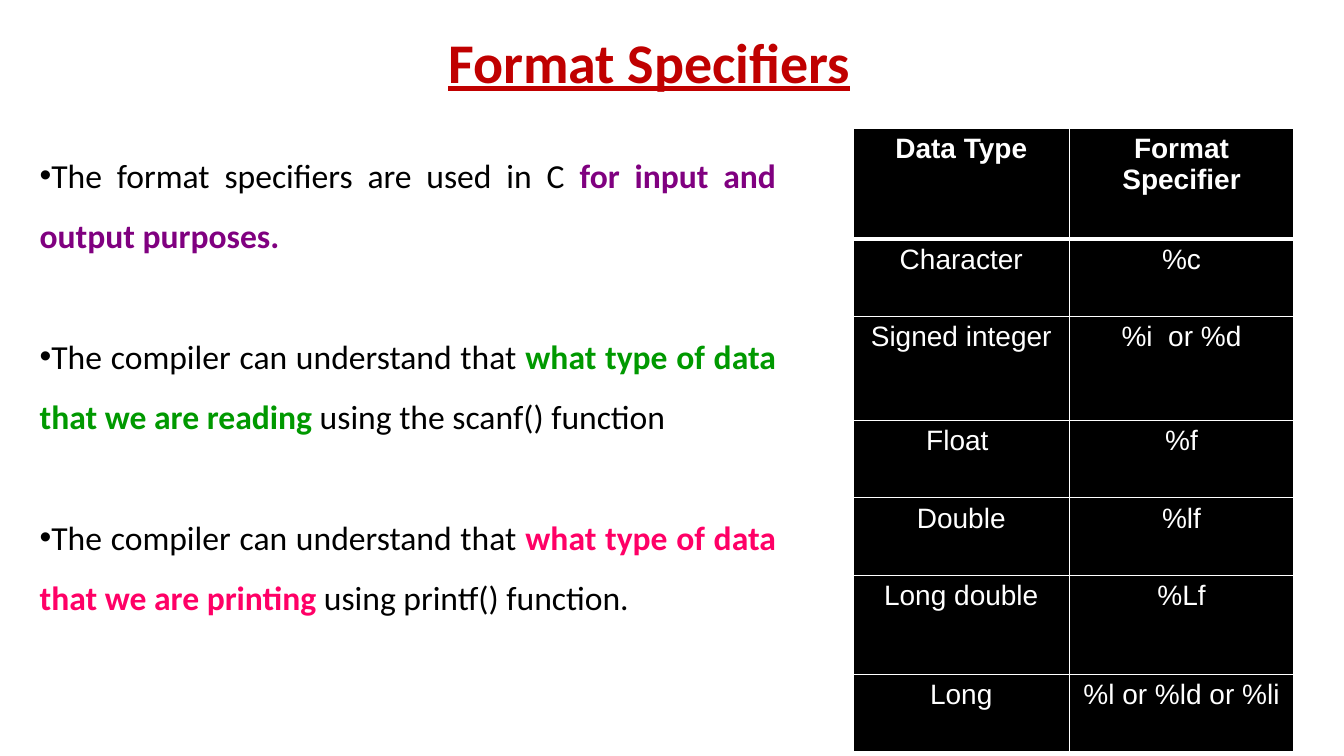
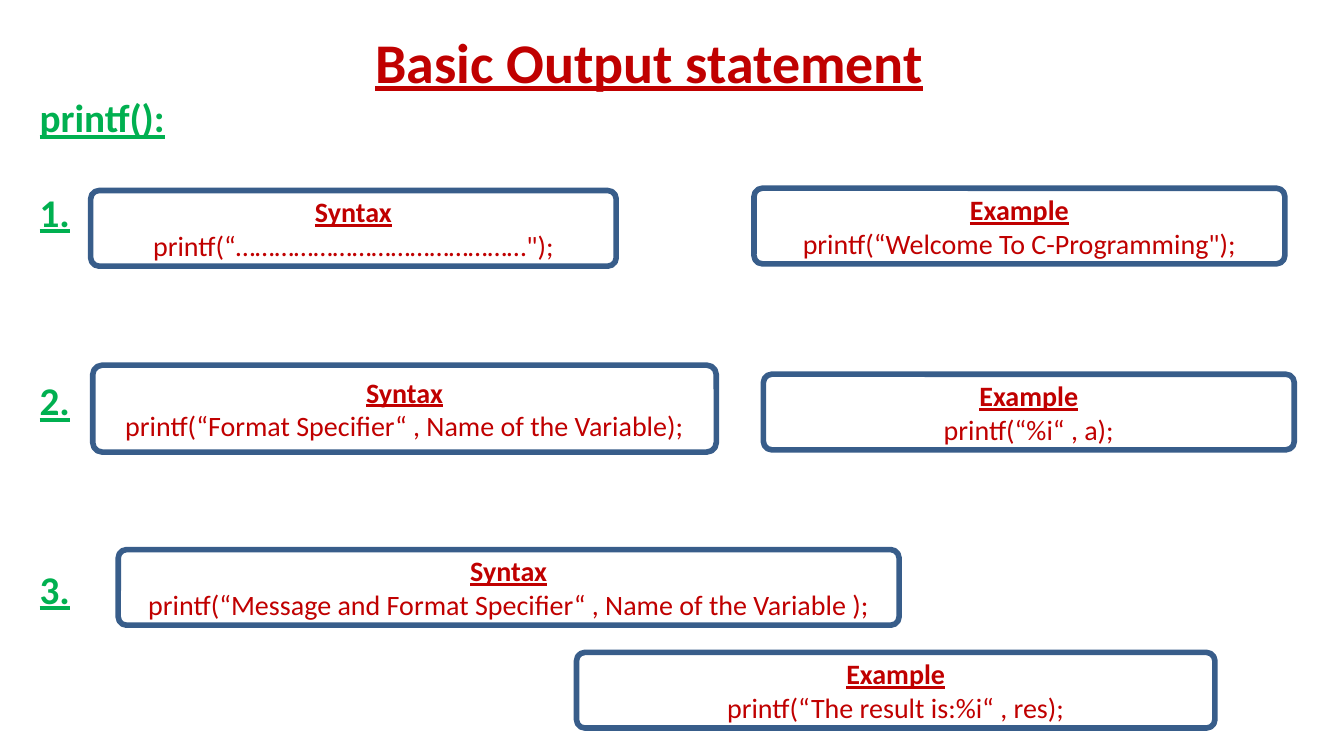
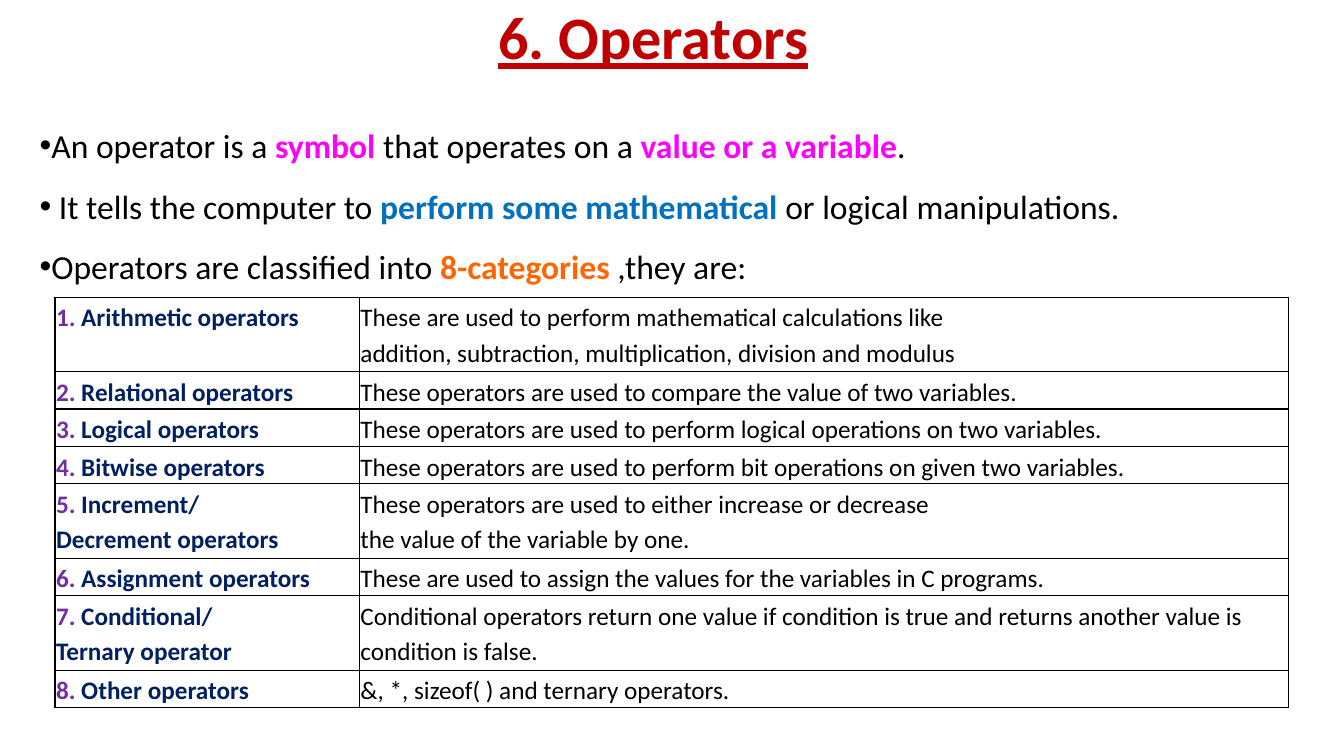
import pptx
import pptx.util
import pptx.dml.color
import pptx.enum.shapes
import pptx.enum.text
import pptx.oxml
import pptx.oxml.ns
from lxml import etree

Pt = pptx.util.Pt
ALIGN = pptx.enum.text.PP_ALIGN
ANCHOR = pptx.enum.text.MSO_ANCHOR

RED, BLACK, WHITE = "C00000", "000000", "FFFFFF"
GREEN, NAVY, PURPLE, STEEL = "00B050", "002060", "7030A0", "385D8A"


def rgb(value):
    return pptx.dml.color.RGBColor.from_string(value)


def add_text(p, text, size=24, color=BLACK, bold=False, underline=False, font="Calibri"):
    r = p.add_run()
    r.text = text
    f = r.font
    f.name, f.size, f.bold, f.underline = font, Pt(size), bold, underline
    f.color.rgb = rgb(color)


def add_element(parent, tag, **attrs):
    node = etree.SubElement(parent, pptx.oxml.ns.qn(tag))
    for key, value in attrs.items():
        node.set(key, str(value))
    return node


class Deck:
    def __init__(self):
        self.prs = pptx.Presentation()
        self.prs.slide_width = pptx.util.Inches(13.333)
        self.prs.slide_height = pptx.util.Inches(7.5)

    def x(self, percent):
        return int(self.prs.slide_width * percent / 100)

    def y(self, percent):
        return int(self.prs.slide_height * percent / 100)

    def box(self, left, top, width, height):
        return self.x(left), self.y(top), self.x(width), self.y(height)

    def frame(self, sp, anchor):
        tf = sp.text_frame
        tf.word_wrap = True
        tf.auto_size = pptx.enum.text.MSO_AUTO_SIZE.NONE
        tf.vertical_anchor = anchor
        return tf

    def place(self, sp, box):
        sp.left, sp.top, sp.width, sp.height = self.box(*box)

    def paragraphs(self, tf, items):
        for i, runs in enumerate(items):
            p = tf.add_paragraph() if i else tf.paragraphs[0]
            yield i, p, runs

    def slide(self, title, left=3.3, top=2.7, size=40, spacing=1.0):
        self.s = self.prs.slides.add_slide(self.prs.slide_layouts[1])
        sp = self.s.shapes.title
        self.place(sp, (left, top, 90, 10.7))
        p = self.frame(sp, ANCHOR.MIDDLE).paragraphs[0]
        p.alignment = ALIGN.CENTER
        p.line_spacing = spacing
        add_text(p, title, size=size, color=RED, bold=True, underline=True)

    def body(self, box, items, gaps, bullet=True):
        sp = self.s.placeholders[1]
        self.place(sp, box)
        for i, p, runs in self.paragraphs(self.frame(sp, ANCHOR.TOP), items):
            pPr = p._p.get_or_add_pPr()
            pPr.set("marL", "0")
            pPr.set("indent", str(-Pt(12) if bullet else 0))
            if bullet:
                add_element(add_element(pPr, "a:buClr"), "a:srgbClr", val=BLACK)
                add_element(pPr, "a:buFont", typeface="Arial")
                add_element(pPr, "a:buChar", char="•")
            else:
                add_element(pPr, "a:buNone")
            p.alignment = ALIGN.JUSTIFY if bullet else ALIGN.LEFT
            p.line_spacing = 1.5 if bullet else 1.0
            p.space_before = Pt(gaps[i])
            for text, style in runs:
                add_text(p, text, **style)

    def code_box(self, heading, code, left, top, width, height=10):
        shape = pptx.enum.shapes.MSO_SHAPE.ROUNDED_RECTANGLE
        sp = self.s.shapes.add_shape(shape, *self.box(left, top, width, height))
        sp.adjustments[0] = 0.11
        sp.shadow.inherit = False
        sp.fill.background()
        sp.line.color.rgb = rgb(STEEL)
        sp.line.width = Pt(4)
        tf = self.frame(sp, ANCHOR.MIDDLE)
        for i, p, text in self.paragraphs(tf, (heading, code)):
            p.alignment = ALIGN.CENTER
            add_text(p, text, size=20, color=RED, bold=i == 0, underline=i == 0)

    def table(self, left, top, cols, rows, cells, border, fill=None, margins=(0.1, 0.05),
              align=ALIGN.LEFT, spacing=1.0, header_line=1):
        box = self.box(left, top, sum(cols), sum(rows))
        tbl = self.s.shapes.add_table(len(rows), len(cols), *box).table
        tbl.first_row = tbl.horz_banding = False
        for col, width in zip(tbl.columns, cols):
            col.width = self.x(width)
        for i, height in enumerate(rows):
            tbl.rows[i].height = self.y(height)
            for j, content in enumerate(cells[i]):
                cell = tbl.cell(i, j)
                cell.margin_left = cell.margin_right = pptx.util.Inches(margins[0])
                cell.margin_top = cell.margin_bottom = pptx.util.Inches(margins[1])
                widths = {"L": 1, "R": 1, "T": header_line if i == 1 else 1,
                          "B": header_line if i == 0 else 1}
                self.borders(cell, border, widths)
                if fill:
                    cell.fill.solid()
                    cell.fill.fore_color.rgb = rgb(fill)
                else:
                    cell.fill.background()
                for _, p, runs in self.paragraphs(cell.text_frame, content):
                    p.alignment = align
                    p.line_spacing = spacing
                    for text, style in runs:
                        add_text(p, text, **style)

    def borders(self, cell, color, widths):
        tcPr = cell._tc.get_or_add_tcPr()
        for side, width in widths.items():
            ln = add_element(tcPr, "a:ln" + side, w=Pt(width))
            add_element(add_element(ln, "a:solidFill"), "a:srgbClr", val=color)


def plain(text):
    return text, {}


def strong(text, color):
    return text, {"color": color, "bold": True}


def format_specifiers(deck):
    deck.slide("Format Specifiers")
    deck.body((2.2, 17.1, 56.3, 70), [
        [plain("The format specifiers are used in C "),
         strong("for input and output purposes.", "800080")],
        [plain("The compiler can understand that "),
         strong("what type of data that we are reading", "009900"),
         plain(" using the scanf() function")],
        [plain("The compiler can understand that "),
         strong("what type of data that we are printing ", "FF0066"),
         plain("using printf() function.")],
    ], gaps=(0, 43, 43))
    specifiers = [
        ("Data Type", "Format Specifier", 14.67),
        ("Character", "%c", 10.27),
        ("Signed integer", "%i  or %d", 13.73),
        ("Float ", "%f", 10.27),
        ("Double", "%lf", 10.27),
        ("Long double", "%Lf", 13.07),
        ("Long", "%l or %ld or %li", 10.27),
    ]
    cells = [[[[(text, {"size": 20, "color": WHITE, "bold": i == 0, "font": "Arial"})]]
              for text in row[:2]] for i, row in enumerate(specifiers)]
    deck.table(63.5, 16.93, (16.05, 16.73), [row[2] for row in specifiers], cells,
               border=WHITE, fill=BLACK, align=ALIGN.CENTER, header_line=3)


def output_statement(deck):
    deck.slide("Basic Output statement")
    style = {"size": 28, "color": GREEN, "bold": True, "underline": True}
    deck.body((2.2, 11.7, 94.4, 75), [[(text, style)] for text in ("printf():", "1.", "2.", "3.")],
              gaps=(0, 34, 101, 101), bullet=False)
    for args in (
        ("Syntax", "printf(“………………………………………\");", 6.75, 25.2, 39.1),
        ("Example", "printf(“Welcome To C-Programming\");", 56.1, 24.9, 39.5),
        ("Syntax", "printf(“Format Specifier“ , Name of the Variable);", 6.9, 48.3, 46.4, 11.5),
        ("Example", "printf(“%i“ , a);", 56.8, 49.5, 39.5),
        ("Syntax", "printf(“Message and Format Specifier“ , Name of the Variable );",
         8.8, 72.7, 58.1),
        ("Example", "printf(“The result is:%i“ , res);", 42.9, 86.3, 47.5),
    ):
        deck.code_box(*args)


def operators(deck):
    deck.slide("6. Operators", left=3.6, top=0, size=43, spacing=0.9)
    deck.body((2.2, 13.2, 94.4, 26), [
        [plain("An operator is a"), strong(" symbol ", "FF00FF"),
         plain("that operates on a "), strong("value or a variable", "FF00FF"), plain(".")],
        [plain(" It tells the computer to "),
         strong("perform some mathematical ", "0070C0"), plain("or logical manipulations.")],
        [plain("Operators are classified into "), strong("8-categories", "FF6600"),
         plain(" ,they are:")],
    ], gaps=(0, 0, 0))
    kinds = [
        (["Arithmetic operators"],
         ["These are used to perform mathematical calculations like",
          "addition, subtraction, multiplication, division and modulus"], 2),
        (["Relational operators"],
         ["These operators are used to compare the value of two variables."], 1),
        (["Logical operators"],
         ["These operators are used to perform logical operations on two variables."], 1),
        (["Bitwise operators"],
         ["These operators are used to perform bit operations on given two variables."], 1),
        (["Increment/", "Decrement operators"],
         ["These operators are used to either increase or decrease",
          "the value of the variable by one."], 2),
        (["Assignment operators"],
         ["These are used to assign the values for the variables in C programs."], 1),
        (["Conditional/", "Ternary operator"],
         ["Conditional operators return one value if condition is true and returns "
          "another value is condition is false."], 2),
        (["Other operators"], ["&, *, sizeof( ) and ternary operators."], 1),
    ]
    name_style = {"size": 18, "color": NAVY, "bold": True}
    cells = []
    for number, (names, uses, _) in enumerate(kinds, 1):
        first = [(f"{number}.", {**name_style, "color": PURPLE}), (" " + names[0], name_style)]
        rest = [[(name, name_style)] for name in names[1:]]
        cells.append([[first] + rest, [[(use, {"size": 18})] for use in uses]])
    deck.table(4.1, 39.3, (22.65, 69.15), [4.93 * kind[2] for kind in kinds], cells,
               border=BLACK, margins=(0.01, 0.01), spacing=1.15)


def main():
    deck = Deck()
    format_specifiers(deck)
    output_statement(deck)
    operators(deck)
    deck.prs.save("out.pptx")


if __name__ == "__main__":
    main()
